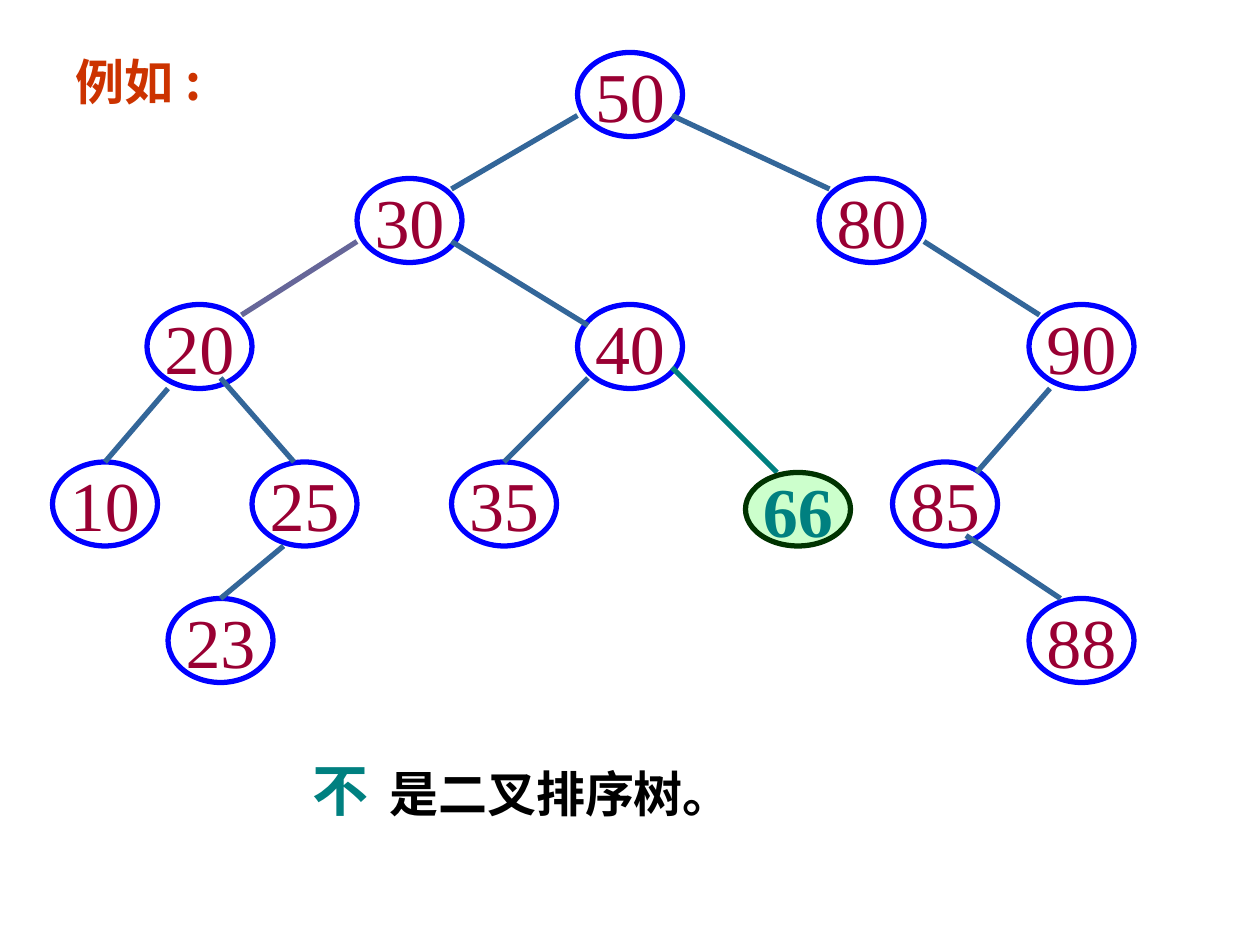
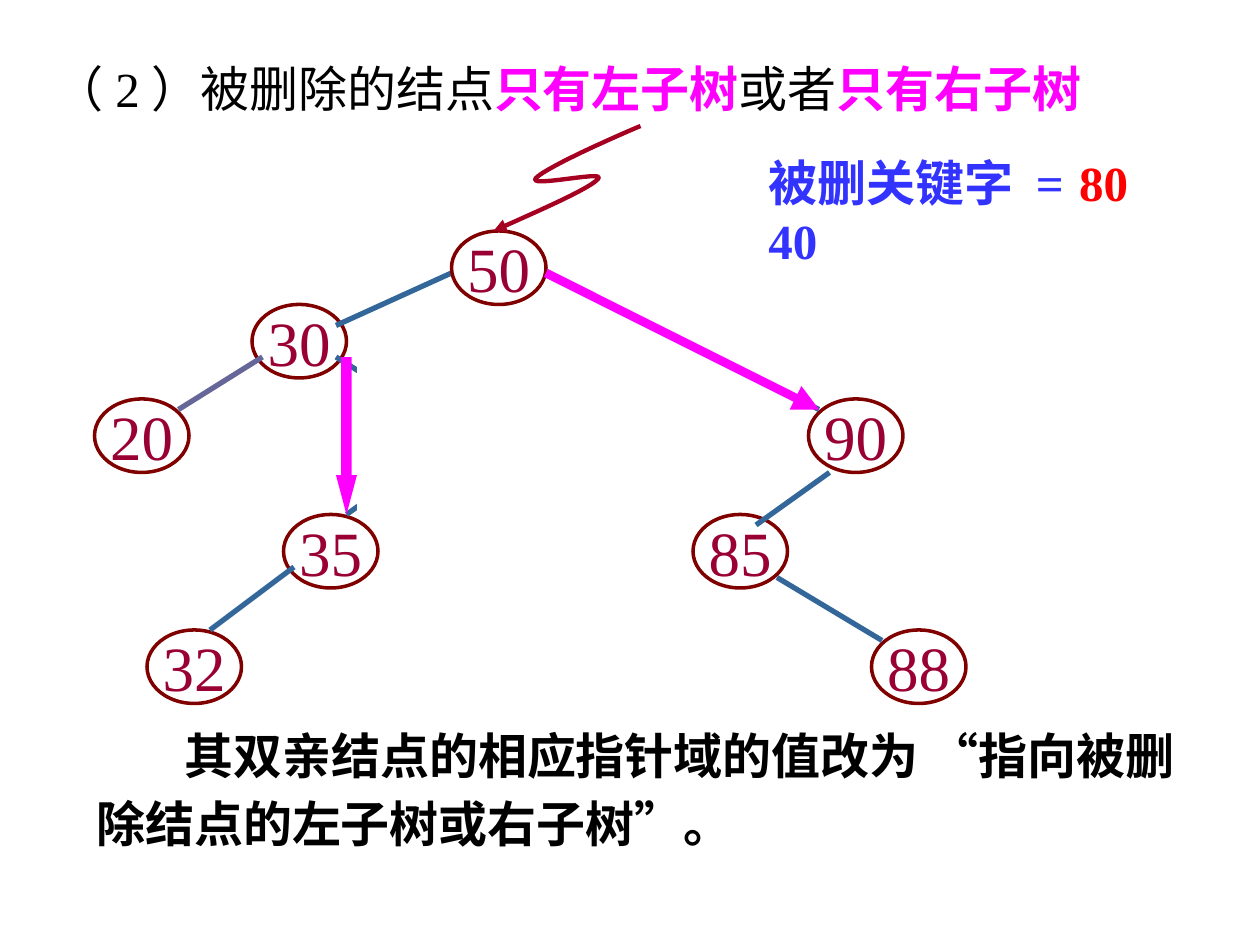
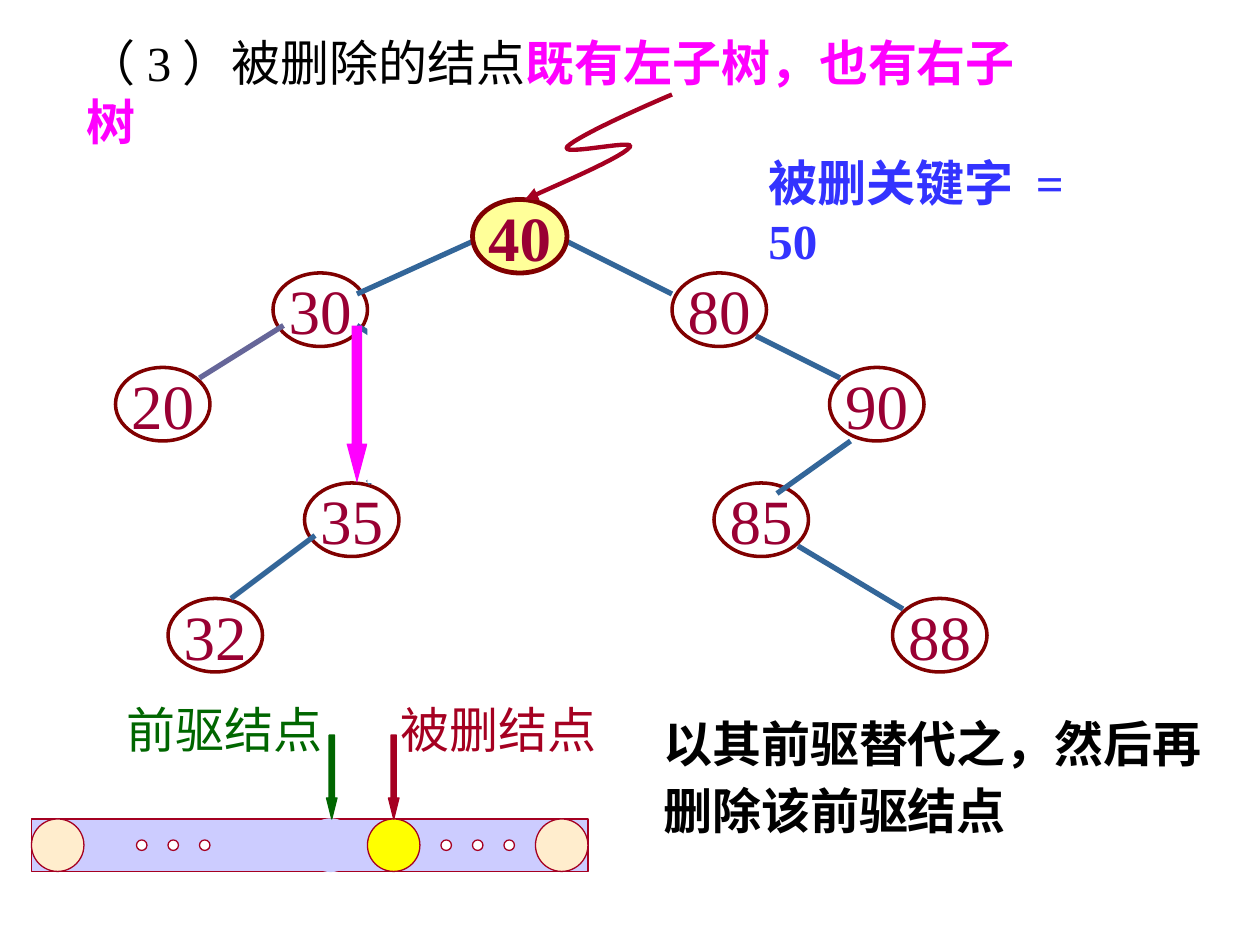
from lxml.etree import SubElement
from pptx import Presentation
from pptx.dml.color import RGBColor
from pptx.enum.shapes import MSO_CONNECTOR, MSO_SHAPE
from pptx.enum.text import MSO_ANCHOR, MSO_AUTO_SIZE, PP_ALIGN
from pptx.oxml.ns import qn
from pptx.util import Inches, Pt

COLS, ROWS = 120, 90
WIDE, HIGH = Inches(10), Inches(7.5)
LATIN, HAN = "Times New Roman", "Noto Sans CJK SC"
BLACK, WHITE, PINK, TEAL = "000000", "FFFFFF", "FF00FF", "008080"
STEEL, MAUVE, PLUM, RED = "336699", "666699", "990033", "A50021"
BLUE, MAROON, LILAC, CREAM = "3333FF", "800000", "CCCCFF", "FFEDCD"

BIG = {"size": (10, 8), "edge": "0000FF", "width": 3, "point": 40}
SMALL = {"size": (9, 7), "edge": MAROON, "width": 2, "point": 36}

FIRST = [("50", 55, 5), ("30", 34, 17), ("80", 78, 17), ("20", 14, 29),
         ("90", 98, 29), ("10", 5, 44), ("85", 85, 44), ("40", 55, 29),
         ("35", 43, 44), ("25", 24, 44), ("23", 16, 57), ("88", 98, 57)]
FIRST_LINKS = [(55, 11, 43, 18), (64, 11, 79, 18), (43, 23, 56, 31),
               (16, 37, 10, 44), (21, 36, 28, 44), (27, 52, 21, 57),
               (56, 36, 48, 44), (88, 23, 99, 30), (100, 37, 93, 45),
               (92, 51, 101, 57)]
LATER = [("30", 24, 29), ("20", 9, 38), ("90", 77, 38), ("85", 66, 49),
         ("35", 27, 49), ("88", 83, 60), ("32", 14, 60)]
LATER_LINKS = [(43, 26, 32, 31), (52, 26, 62, 31), (32, 34, 40, 39),
               (40, 44, 33, 49), (70, 35, 78, 39), (79, 45, 72, 50),
               (74, 55, 84, 61), (28, 54, 20, 60)]
BENDS = [((14, 0), (9.3, 2), (4.7, 4.2), (4, 5)),
         ((4, 5), (3.3, 5.9), (10.7, 4.2), (10, 5)),
         ((10, 5), (9.3, 5.9), (4.7, 7.9), (0, 10))]


def hue(code):
    """Turn a hex string into a colour."""
    return RGBColor.from_string(code)


def across(col):
    """Turn grid columns into a length."""
    return round(WIDE * col / COLS)


def down(row):
    """Turn grid rows into a length."""
    return round(HIGH * row / ROWS)


def frame(x, y, w, h):
    """Turn a grid area into lengths."""
    return across(x), down(y), across(w), down(h)


def write(shape, parts, size, font=LATIN, space=None, align=PP_ALIGN.LEFT):
    """Fill one paragraph with (text, colour, bold) parts."""
    para = shape.text_frame.paragraphs[0]
    para.alignment = align
    para.line_spacing = space
    for text, code, bold in parts:
        run = para.add_run()
        run.text = text
        run.font.size, run.font.bold = Pt(size), bold
        run.font.color.rgb = hue(code)
        run.font.name = font
        SubElement(run.font._element, qn("a:ea"), typeface=HAN)


def label(slide, area, parts, size=28, space=None):
    """Add a wrapped text box."""
    box = slide.shapes.add_textbox(*frame(*area))
    box.text_frame.word_wrap = True
    write(box, parts, size, space=space)
    return box


def title(slide, area, parts, font=LATIN, space=None):
    """Place and fill the title."""
    head = slide.shapes.title
    head.left, head.top, head.width, head.height = frame(*area)
    body = head.text_frame
    body.word_wrap, body.auto_size = True, MSO_AUTO_SIZE.NONE
    body.vertical_anchor = MSO_ANCHOR.TOP
    write(head, parts, 28, font, space)


def paint(shape, fill=None, edge=None, width=0.75):
    """Set fill and outline without a shadow."""
    shape.shadow.inherit = False
    if fill:
        shape.fill.solid()
        shape.fill.fore_color.rgb = hue(fill)
    else:
        shape.fill.background()
    if edge:
        shape.line.color.rgb = hue(edge)
        shape.line.width = Pt(width)
    else:
        shape.line.fill.background()


def block(slide, kind, area, fill=None, edge=None, width=0.75):
    """Add a painted preset shape."""
    shape = slide.shapes.add_shape(kind, *frame(*area))
    paint(shape, fill, edge, width)
    return shape


def drop(slide, area, head, fill, edge=None):
    """Add a block arrow that points down."""
    arrow = block(slide, MSO_SHAPE.DOWN_ARROW, area, fill, edge)
    arrow.adjustments[0], arrow.adjustments[1] = 0.5, head


def node(slide, text, x, y, style, fill=None, ink=PLUM, bold=False):
    """Add a tree node with its key."""
    ball = block(slide, MSO_SHAPE.OVAL, (x, y, *style["size"]), fill,
                 style["edge"], style["width"])
    ball.text_frame.word_wrap = False
    ball.text_frame.vertical_anchor = MSO_ANCHOR.MIDDLE
    write(ball, [(text, ink, bold)], style["point"], align=PP_ALIGN.CENTER)


def tip(shape):
    """Put an arrowhead at the end of a line."""
    SubElement(shape.element.spPr.find(qn("a:ln")), qn("a:tailEnd"),
               type="triangle")


def link(slide, ends, code=STEEL, width=3):
    """Join two grid points by a line."""
    x1, y1, x2, y2 = ends
    line = slide.shapes.add_connector(MSO_CONNECTOR.STRAIGHT, across(x1),
                                      down(y1), across(x2), down(y2))
    line.line.color.rgb = hue(code)
    line.line.width = Pt(width)
    SubElement(line.element.spPr, qn("a:effectLst"))
    return line


def curl(slide, x, y, steps=12):
    """Draw the curved pointer to the root."""
    dots = [(x + BENDS[0][0][0], y + BENDS[0][0][1])]
    for bend in BENDS:
        for step in range(1, steps + 1):
            t = step / steps
            parts = ((1 - t) ** 3, 3 * t * (1 - t) ** 2,
                     3 * t * t * (1 - t), t ** 3)
            dots.append((x + sum(p * c[0] for p, c in zip(parts, bend)),
                         y + sum(p * c[1] for p, c in zip(parts, bend))))
    dots = [(across(a), down(b)) for a, b in dots]
    pen = slide.shapes.build_freeform(*dots[0])
    pen.add_line_segments(dots[1:], close=False)
    shape = pen.convert_to_shape()
    paint(shape, None, RED, 2.5)
    tip(shape)


def tree(slide, nodes, links, pale, style, dx=0, dy=0):
    """Draw nodes and links, moved by dx and dy."""
    for text, x, y in nodes:
        node(slide, text, x + dx, y + dy, style)
    for code, group in ((STEEL, links), (MAUVE, [pale])):
        for x1, y1, x2, y2 in group:
            link(slide, (x1 + dx, y1 + dy, x2 + dx, y2 + dy), code)


def later(slide, dx=0, dy=0):
    """Draw the tree used for deletion."""
    tree(slide, LATER, LATER_LINKS, (25, 34, 17, 39), SMALL, dx, dy)


def mask(slide, *area):
    """Hide a part of the tree."""
    block(slide, MSO_SHAPE.RECTANGLE, area, WHITE)


def key(slide, value):
    """Name the deleted key."""
    label(slide, (72, 13.9, 35.5, 6.9), [("被删关键字 = " + value, BLUE, True)])


def sample(slide):
    """Build the slide with the counterexample."""
    title(slide, (6, 4.3, 14.5, 6.9), [("例如:", "CC3300", True)], HAN)
    tree(slide, FIRST, FIRST_LINKS, (34, 23, 23, 30), BIG)
    label(slide, (35.9, 72.1, 35.3, 6.9), [("是二叉排序树。", BLACK, True)])
    link(slide, (64, 35, 74, 45), TEAL)
    extra = BIG | {"size": (10, 7), "edge": "003300"}
    node(slide, "66", 71, 45, extra, "CCFFCC", TEAL, True)
    label(slide, (28.6, 71.4, 7.8, 7.6), [("不", TEAL, True)], 32)


def single(slide):
    """Build the slide on nodes with one subtree."""
    title(slide, (4, 3.84, 109.7, 7.9),
          [("（2）被删除的结点", BLACK, False), ("只有左子树", PINK, True),
           ("或者", BLACK, False), ("只有右子树", PINK, True)], space=1.2)
    later(slide)
    node(slide, "50", 43, 22, SMALL)
    drop(slide, (32, 34, 2, 15), 1.875, PINK)
    mask(slide, 34, 34, 15, 15)
    mask(slide, 61, 28, 11, 9)
    tip(link(slide, (52, 26, 78, 39), PINK, 5))
    text = "其双亲结点的相应指针域的值改为 “指向被删除结点的左子树或右子树”。"
    note = label(slide, (8, 67.7, 106.8, 14), [(text, BLACK, True)], space=1.15)
    props = note.text_frame.paragraphs[0]._p.get_or_add_pPr()
    props.set("indent", str(Inches(0.7)))
    curl(slide, 47, 12)
    key(slide, "40")
    cover = label(slide, (101.6, 13.9, 7.2, 6.9), [("80", "FF0000", True)])
    paint(cover, WHITE)


def strip(slide):
    """Draw the row of nodes in sorted order."""
    block(slide, MSO_SHAPE.RECTANGLE, (3, 78, 53, 5), LILAC, RED)
    for x, fill, edge in ((3, CREAM, RED), (51, CREAM, RED),
                          (35, "FFFF00", RED), (29, LILAC, LILAC)):
        block(slide, MSO_SHAPE.OVAL, (x, 78, 5, 5), fill, edge)
    for start in (13, 42):
        for step in range(3):
            block(slide, MSO_SHAPE.OVAL, (start + 3 * step, 80, 1, 1), WHITE, RED)
    for x, left, text, code in ((37, 37, "被删结点", RED),
                                (31.1, 10.9, "前驱结点", "006600")):
        drop(slide, (x, 70, 1, 8), 2, code, code)
        label(slide, (left, 66, 21.2, 6.9), [(text, code, False)])


def double(slide):
    """Build the slide on nodes with two subtrees."""
    title(slide, (7, 2.5, 93.6, 6.9),
          [("（3）被删除的结点", BLACK, False),
           ("既有左子树，也有右子树", PINK, True)])
    later(slide, 2, -3)
    node(slide, "80", 64, 26, SMALL)
    node(slide, "40", 45, 19, SMALL | {"width": 2.75}, "FFFF99", bold=True)
    label(slide, (62, 66.5, 54.7, 14),
          [("以其前驱替代之，然后再删除该前驱结点", BLACK, True)], space=1.15)
    drop(slide, (33, 31, 2, 15), 1.875, PINK)
    mask(slide, 35, 31, 17, 15)
    strip(slide)
    curl(slide, 50, 9)
    key(slide, "50")


def main():
    """Build and save the slides."""
    deck = Presentation()
    deck.slide_width, deck.slide_height = WIDE, HIGH
    for build in (sample, single, double):
        build(deck.slides.add_slide(deck.slide_layouts[5]))
    deck.save("out.pptx")


if __name__ == "__main__":
    main()
